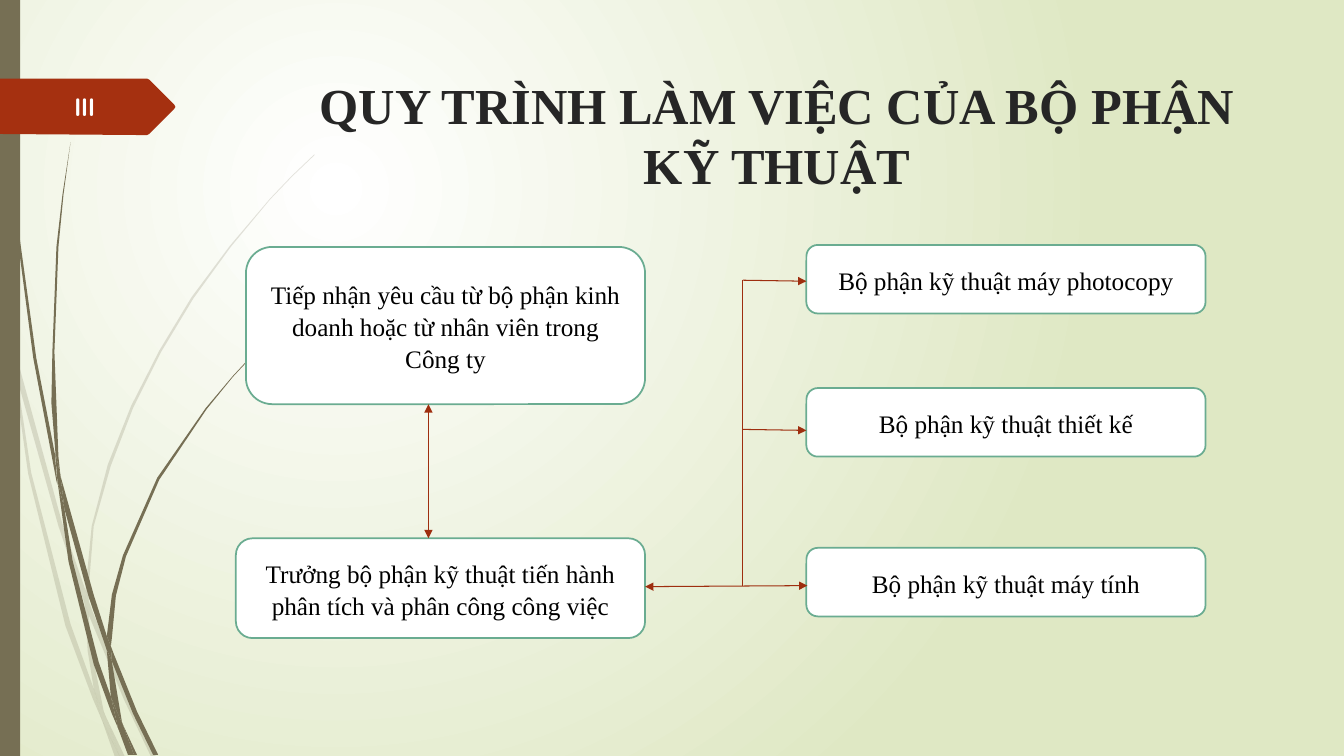
import collections

import pptx
import pptx.dml.color
import pptx.enum.dml
import pptx.enum.shapes
import pptx.enum.text
import pptx.oxml
import pptx.oxml.ns
import pptx.util

CELL = pptx.util.Inches(0.1)
COLUMNS, ROWS = 133.33, 75
SERIF = "Times New Roman"
OLIVE, RUST, ARROW, MINT = "766F54", "A53010", "9E2E0F", "6AAC91"
WHITE, BLACK, CHARCOAL, PALE_GREEN = "FFFFFF", "000000", "262626", "DFE8C4"
SHAPE = pptx.enum.shapes.MSO_SHAPE
ALIGN = pptx.enum.text.PP_ALIGN
ANCHOR = pptx.enum.text.MSO_ANCHOR

Box = collections.namedtuple("Box", "left top width height")

# Outlines of the blade sections as (column, row) corners.
PALE_GRASS = [
    [(1.1, 35), (0.9, 32.2), (0, 28.2), (0, 29.9), (1, 34.4)],
    [(5.8, 52.2), (8.4, 59.9), (8.5, 58.6), (6.2, 52), (1.4, 34.5), (1.7, 37.6)],
    [(9.2, 60.7), (8.8, 59.6), (8.8, 61), (12.3, 69.4), (15, 75.1), (15.5, 75.1),
     (12.7, 69.2)],
    [(11.9, 75.1), (12.4, 75.1), (10.5, 71.1)],
    [(9.3, 68.3), (7, 61.9), (3.1, 46.9), (1.7, 37.6), (1.1, 35), (2.8, 47), (6.5, 62.1),
     (9.2, 69.3), (10.1, 71.4), (9.9, 70.7)],
    [(8.4, 59.9), (8.7, 64.6), (9.3, 68.3), (9.6, 69.2), (10.5, 71.1), (10.3, 70.6),
     (9.1, 64.6), (8.8, 61), (8.8, 60.8)],
    [(8.8, 58.4), (9.3, 52.2), (11, 46.2), (13.2, 40.5), (16, 34.9), (19.2, 29.6),
     (22.9, 24.5), (26.8, 19.8), (29, 17.5), (31.2, 15.4), (31.2, 15.3), (28.9, 17.5),
     (26.8, 19.7), (22.8, 24.4), (19, 29.5), (15.8, 34.8), (13, 40.3), (10.7, 46.1),
     (9.1, 52.2), (8.5, 58.4), (8.5, 58.6), (8.8, 59.6)],
    [(10.1, 71.4), (11.4, 75.1), (11.9, 75.1)],
    [(8.8, 60.8), (8.8, 61), (8.8, 59.6), (8.5, 58.6), (8.4, 59.9)],
    [(9.6, 69.2), (9.3, 68.3), (9.9, 70.7), (10.1, 71.4), (11.9, 75.1), (10.5, 71.1)],
]
DARK_GRASS = [
    [(0.7, 11), (1.7, 23.3), (3.3, 35.5), (5.6, 47.7), (5.7, 48.1), (5.5, 45.7),
     (5.5, 45.3), (3.6, 35.5), (1.9, 23.2), (0.8, 10.9), (0.5, 4.8), (0.4, 0), (0.3, 0),
     (0.4, 4.8)],
    [(8.8, 59.2), (10.6, 64.5), (10.6, 63.1), (9.3, 59), (6, 47.2), (6.4, 50.5)],
    [(11.3, 64.9), (11, 64.1), (11.1, 65.6), (13.2, 70.8), (15.2, 74.9), (15.7, 74.9),
     (13.6, 70.6)],
    [(11, 69.1), (9.8, 65.7), (7.2, 55.6), (6.4, 50.5), (5.7, 47.7), (6.8, 55.7),
     (9.3, 65.9), (11.1, 70.8), (11.7, 72.2), (11.6, 71.7)],
    [(6, 47.2), (5.8, 45.3), (5.4, 34.9), (5.8, 24.5), (6.3, 19.3), (7, 14.1),
     (6.2, 19.3), (5.6, 24.5), (5.2, 34.9), (5.1, 40), (5.5, 44.9)],
    [(13.3, 74.9), (13.6, 74.9), (12.2, 71.9)],
    [(5.7, 47.7), (6.4, 50.5), (6, 47.2), (5.5, 44.9), (5.5, 45.3)],
    [(11.1, 63.3), (11.5, 59.1), (12.5, 55.2), (15.8, 47.6), (20.5, 40.6), (23.1, 37.4),
     (24.5, 35.9), (26.1, 34.4), (26, 34.4), (24.5, 35.8), (23.1, 37.3), (20.4, 40.5),
     (15.6, 47.4), (12.2, 55.1), (11.1, 59), (10.6, 63.1), (11, 64.1)],
    [(11.7, 72.2), (12.7, 74.9), (13.1, 74.9)],
    [(10.6, 64.5), (11, 69.1), (11.6, 70.6), (12.2, 71.9), (12.1, 71.6), (11.1, 65.6),
     (10.9, 65.1)],
    [(10.6, 64.5), (10.9, 65.1), (11.1, 65.6), (11, 64.1), (10.6, 63.1)],
    [(11.6, 70.6), (11, 69.1), (11.6, 71.7), (11.7, 72.2), (13, 74.9), (13.3, 74.9),
     (12.2, 71.9)],
]
TAG = [(17.3, 10.8), (14.8, 13.3), (14.6, 13.4), (13.6, 13.4), (0, 13.3), (0, 7.8),
       (13.6, 7.8), (14.6, 7.8), (14.8, 7.9), (17.3, 10.4), (17.4, 10.6)]


def color(hex_string):
    """Return the colour for a hex string."""
    return pptx.dml.color.RGBColor.from_string(hex_string)


def place(box, left, top, width, height):
    """Return a box given in cells from the corner of another box."""
    return Box(box.left + left, box.top + top, width, height)


def emu(*cells):
    """Turn grid cells into whole EMU."""
    return [round(cell * CELL) for cell in cells]


def paint(shape, fill, line=None):
    """Give a shape a flat fill, an optional outline and no shadow."""
    shape.shadow.inherit = False
    shape.fill.solid()
    shape.fill.fore_color.rgb = color(fill)
    if line:
        shape.line.color.rgb = color(line)
        shape.line.width = pptx.util.Pt(1.25)
    else:
        shape.line.fill.background()


def write(frame, words, size, ink, font=SERIF, bold=False, anchor=ANCHOR.MIDDLE):
    """Write one centred run and return its paragraph."""
    frame.word_wrap = True
    frame.vertical_anchor = anchor
    paragraph = frame.paragraphs[0]
    paragraph.alignment = ALIGN.CENTER
    run = paragraph.add_run()
    run.text = words
    run.font.name, run.font.size, run.font.bold = font, pptx.util.Pt(size), bold
    run.font.color.rgb = color(ink)
    return paragraph


def backdrop(slide):
    """Fill the background with a round white to green gradient."""
    fill = slide.background.fill
    fill.gradient()
    for stop, shade in zip(fill.gradient_stops, (WHITE, PALE_GREEN)):
        stop.color.rgb = color(shade)
    gradient = slide.element.find(".//" + pptx.oxml.ns.qn("a:gradFill"))
    gradient.remove(gradient.find(pptx.oxml.ns.qn("a:lin")))
    gradient.append(pptx.oxml.parse_xml(
        f'<a:path {pptx.oxml.ns.nsdecls("a")} path="circle"><a:fillToRect '
        'l="50000" t="50000" r="100000" b="100000"/></a:path>'))


def outline(slide, box, corners, fill):
    """Draw a filled outline from corners counted in cells."""
    points = [emu(box.left + x, box.top + y) for x, y in corners]
    builder = slide.shapes.build_freeform(*points[0])
    builder.add_line_segments(points[1:], close=True)
    shape = builder.convert_to_shape()
    paint(shape, fill)
    return shape


def grass(slide, box):
    """Draw the pale and dark blades and the side band."""
    for section in PALE_GRASS:
        blade = outline(slide, box, section, OLIVE)
        tint = blade.element.spPr.find(".//" + pptx.oxml.ns.qn("a:srgbClr"))
        tint.append(pptx.oxml.parse_xml(
            f'<a:alpha {pptx.oxml.ns.nsdecls("a")} val="20000"/>'))
    for section in DARK_GRASS:
        outline(slide, box, section, OLIVE)
    band = place(box, 0, 0, 2, box.height)
    paint(slide.shapes.add_shape(SHAPE.RECTANGLE, *emu(*band)), OLIVE)


def section_tag(slide, box):
    """Draw the pointed tag with the section number."""
    outline(slide, box, TAG, RUST)
    number = slide.shapes.add_textbox(*emu(*place(box, 1.9, 8.6, 13, 4)))
    write(number.text_frame, "III", 18, WHITE, "Quicksand", True, ANCHOR.TOP)


def heading(slide, box):
    """Move the title placeholder and write the title."""
    title = slide.shapes.title
    title.left, title.top, title.width, title.height = emu(*box)
    title.text_frame.auto_size = pptx.enum.text.MSO_AUTO_SIZE.NONE
    write(title.text_frame, "QUY TRÌNH LÀM VIỆC CỦA BỘ PHẬN KỸ THUẬT", 36, CHARCOAL,
          bold=True, anchor=ANCHOR.TOP)


def step_card(slide, box, words):
    """Draw one rounded card of the process."""
    card = slide.shapes.add_shape(SHAPE.ROUNDED_RECTANGLE, *emu(*box))
    paint(card, WHITE, MINT)
    paragraph = write(card.text_frame, words, 18, BLACK)
    paragraph.line_spacing = 1.07
    paragraph.space_after = pptx.util.Pt(8)


def link(slide, box, start, end, arrowheads=()):
    """Draw a straight link with arrowheads at the named ends."""
    ends = [box.left + start[0], box.top + start[1], box.left + end[0], box.top + end[1]]
    connector = slide.shapes.add_connector(
        pptx.enum.shapes.MSO_CONNECTOR.STRAIGHT, *emu(*ends))
    connector.line.color.rgb = color(ARROW)
    connector.line.width = pptx.util.Pt(0.75)
    namespace = pptx.oxml.ns.nsdecls("a")
    stroke = connector.element.spPr.find(pptx.oxml.ns.qn("a:ln"))
    for end_name in arrowheads:
        stroke.append(pptx.oxml.parse_xml(f'<a:{end_name} {namespace} type="triangle"/>'))
    connector.element.spPr.append(pptx.oxml.parse_xml(f"<a:effectLst {namespace}/>"))


def process(slide, box):
    """Draw the request, the head of department and the three teams."""
    step_card(slide, place(box, 0, 29.1, 40.6, 9.9),
              "Trưởng bộ phận kỹ thuật tiến hành phân tích và phân công công việc")
    step_card(slide, place(box, 1, 0.2, 39.6, 15.6),
              "Tiếp nhận yêu cầu từ bộ phận kinh doanh hoặc từ nhân viên trong Công ty")
    teams = {"thiết kế": 14.2, "máy tính": 30.05, "máy photocopy": 0}
    for team, top in teams.items():
        step_card(slide, place(box, 56.6, top, 39.6, 6.8), f"Bộ phận kỹ thuật {team}")
    both = ("headEnd", "tailEnd")
    link(slide, box, (19.1, 15.8), (19.1, 29.1), both)
    link(slide, box, (40.6, 33.9), (56.7, 33.8), both)
    for row in (3.5, 18.3):
        link(slide, box, (50.3, row), (56.6, row + 0.1), ("tailEnd",))
    link(slide, box, (50.3, 3.5), (50.3, 33.8))


def main():
    """Build and save the slide."""
    deck = pptx.Presentation()
    deck.slide_width, deck.slide_height = emu(COLUMNS, ROWS)
    slide = deck.slides.add_slide(deck.slide_layouts.get_by_name("Title Only"))
    whole = Box(0, 0, COLUMNS, ROWS)
    backdrop(slide)
    grass(slide, whole)
    heading(slide, Box(28.35, 6.85, 97.5, 14))
    process(slide, Box(23.4, 24.3, 96.2, 39))
    section_tag(slide, whole)
    deck.save("out.pptx")


main()
